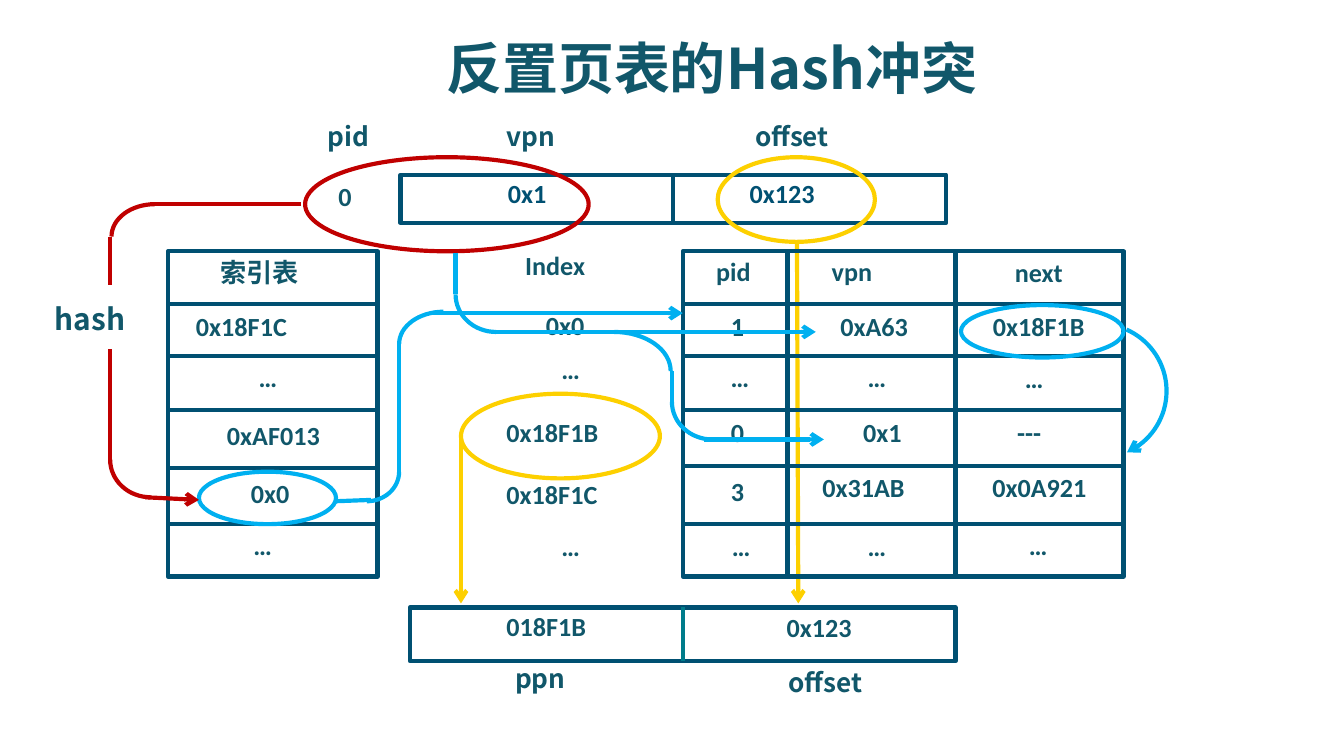
import math
from lxml import etree
from pptx import Presentation
from pptx.dml.color import RGBColor
from pptx.enum import shapes as kinds, text as txt
from pptx.oxml.ns import qn
from pptx.util import Inches, Pt

THEME = {
    "ink": "11576A", "frame": "005072", "teal": "007C8B",
    "red": "C00000", "yellow": "FDD000", "blue": "00B0F0",
    "latin": "Calibri", "cjk": "Noto Sans CJK SC",
    "title": 30, "hash": 16, "body": 14, "stroke": 2.25,
}

# Labels: text, left, top, width, centred
TITLE = ("反置页表的Hash冲突", 2.68, 0.24, 5.23, True)
HASH = ("hash", 0.31, 2.19, 0.86, False)
FIELD_NAMES = [
    ("pid", 2.34, 0.85, 1.02, False), ("vpn", 3.67, 0.85, 1.17, False),
    ("offset", 5.52, 0.85, 1.17, False), ("ppn", 3.59, 4.88, 0.86, True),
    ("offset", 5.63, 4.91, 1.02, True), ("索引表", 1.54, 1.86, 1.56, False),
]
VIRTUAL_VALUES = [("0x1", 3.68, 1.27, 1.25, False), ("0x123", 5.48, 1.27, 1.02, False)]
VALUES = [
    ("0", 2.42, 1.29, 0.34, False),
    ("018F1B", 3.05, 4.49, 2.03, True), ("0x123", 5.08, 4.5, 2.03, True),
    # index table
    ("0x18F1C", 1.36, 2.26, 1.25, False), ("…", 1.41, 2.64, 1.17, True),
    ("0xAF013", 1.33, 3.07, 1.41, True), ("0x0", 1.62, 3.5, 0.78, True),
    ("…", 1.33, 3.89, 1.25, True),
    # index column
    ("Index", 3.81, 1.81, 0.94, False), ("0x0", 3.58, 2.25, 1.25, True),
    ("…", 3.97, 2.58, 0.55, True), ("0x18F1B", 3.67, 3.05, 1.48, False),
    ("0x18F1C", 3.67, 3.51, 1.48, False), ("…", 3.97, 3.9, 0.55, True),
    # pid column
    ("pid", 5.23, 1.85, 1.09, False), ("1", 5.34, 2.26, 0.78, False),
    ("…", 5.23, 2.64, 0.55, True), ("0", 5.34, 3.05, 0.47, False),
    ("3", 5.34, 3.49, 0.23, False), ("…", 5.24, 3.9, 0.55, True),
    # vpn column
    ("vpn", 6.09, 1.85, 0.78, False), ("0xA63", 5.94, 2.26, 1.13, True),
    ("…", 6.25, 2.64, 0.55, True), ("0x1", 6.02, 3.05, 1.09, True),
    ("0x31AB", 6.02, 3.46, 1.2, False), ("…", 6.25, 3.9, 0.55, True),
    # next column
    ("next", 7.22, 1.86, 1.02, True), ("0x18F1B", 6.95, 2.26, 1.56, True),
    ("…", 7.42, 2.65, 0.55, True), ("---", 7.47, 3.05, 0.55, False),
    ("0x0A921", 7.11, 3.46, 1.25, True), ("…", 7.45, 3.89, 0.55, True),
]

# Address bars: left, top, width, height, divider colour
ADDRESS_BARS = [(2.98, 1.3, 4.06, 0.36, "frame"), (3.05, 4.52, 4.06, 0.4, "teal")]

# Table columns: left, width, row boundaries
TABLE_TOP, TABLE_HEIGHT = 1.87, 2.42
PAGE_ROWS = [2.26, 2.65, 3.05, 3.47, 3.9]
COLUMNS = [
    (1.25, 1.56, [2.26, 2.65, 3.05, 3.48, 3.9]),
    (7.11, 1.25, PAGE_ROWS), (5.86, 1.25, PAGE_ROWS), (5.08, 0.78, PAGE_ROWS),
]

# Highlights: left, top, width, height, colour
ELLIPSES = [
    (2.27, 1.17, 2.11, 0.7, "red"), (3.43, 2.93, 1.48, 0.63, "yellow"),
    (1.48, 3.51, 1.02, 0.39, "blue"), (7.15, 2.27, 1.21, 0.39, "blue"),
    (5.34, 1.17, 1.17, 0.63, "yellow"),
]

# Straight parts of the routes: start, end, colour, arrow at the end
DROPS = [
    ((3.43, 3.24), (3.43, 4.49), "yellow", True),
    ((5.93, 1.8), (5.94, 4.49), "yellow", True),
]
ROUTES = [
    # key to hash to index table
    ((2.24, 1.52), (1.12, 1.52), "red", False),
    ((0.82, 1.76), (0.82, 2.12), "red", False),
    ((0.82, 2.6), (0.82, 3.43), "red", False),
    ((1.08, 3.7), (1.48, 3.72), "red", True),
    # index table to first page entry
    ((2.49, 3.73), (2.76, 3.72), "blue", False),
    ((2.97, 3.51), (2.97, 2.56), "blue", False),
    ((3.2, 2.33), (5.08, 2.33), "blue", True),
    # vpn compared with both entries
    ((3.39, 1.88), (3.39, 2.19), "blue", False),
    ((3.66, 2.47), (4.61, 2.47), "blue", False),
    ((4.6, 2.47), (6.07, 2.47), "blue", True),
    ((5, 2.76), (5, 2.99), "blue", False),
    ((5.24, 3.27), (6.13, 3.27), "blue", True),
]
# Rounded corners: end on the horizontal part, end on the vertical part, colour
CORNERS = [
    ((1.12, 3.7), (0.82, 3.42), "red"), ((1.15, 1.52), (0.83, 1.76), "red"),
    ((3.3, 2.32), (2.97, 2.56), "blue"), ((2.73, 3.73), (2.97, 3.51), "blue"),
    ((3.69, 2.47), (3.39, 2.19), "blue"), ((5.3, 3.27), (5, 2.99), "blue"),
    ((4.57, 2.47), (4.99, 2.76), "blue"),
]

# Widescreen page, 16 to 9
deck = Presentation()
deck.slide_width = Inches(10)
deck.slide_height = deck.slide_width * 9 // 16
page = deck.slides.add_slide(deck.slide_layouts[6])


def color(name):
    return RGBColor.from_string(THEME[name])


def stroke(item, name, arrow=False):
    item.line.color.rgb = color(name)
    item.line.width = Pt(THEME["stroke"])
    if arrow:
        line = item._element.spPr.find(qn("a:ln"))
        etree.SubElement(line, qn("a:tailEnd"), type="arrow")


def outline(kind, left, top, width, height, name, arrow=False):
    shape = page.shapes.add_shape(kind, *map(Inches, (left, top, width, height)))
    shape.shadow.inherit = False
    shape.fill.background()
    stroke(shape, name, arrow)
    return shape


def straight(start, end, name, arrow=False):
    line = page.shapes.add_connector(kinds.MSO_CONNECTOR.STRAIGHT, *map(Inches, start + end))
    stroke(line, name, arrow)
    etree.SubElement(line._element.spPr, qn("a:effectLst"))
    return line


def corner(flat, steep, name, steps=16):
    points = []
    for step in range(steps + 1):
        angle = math.pi / 2 * step / steps
        points.append((Inches(flat[0] + (steep[0] - flat[0]) * math.sin(angle)),
                       Inches(steep[1] + (flat[1] - steep[1]) * math.cos(angle))))
    builder = page.shapes.build_freeform(*points[0])
    builder.add_line_segments(points[1:], close=False)
    curve = builder.convert_to_shape()
    curve.shadow.inherit = False
    curve.fill.background()
    stroke(curve, name)


def label(entry, font, size="body", name="ink"):
    words, left, top, width, centred = entry
    height = THEME[size] / 60 + 0.1
    box = page.shapes.add_textbox(*map(Inches, (left, top, width, height)))
    frame = box.text_frame
    frame.word_wrap = True
    frame.auto_size = txt.MSO_AUTO_SIZE.SHAPE_TO_FIT_TEXT
    frame.text = words
    para = frame.paragraphs[0]
    para.alignment = txt.PP_ALIGN.CENTER if centred else txt.PP_ALIGN.LEFT
    span = para.runs[0]
    span.font.size, span.font.bold = Pt(THEME[size]), True
    span.font.color.rgb = color(name)
    span.font.name = THEME[font]
    etree.SubElement(span.font._element, qn("a:ea"), typeface=THEME[font])
    return para


# Address bars, split in the middle
for left, top, width, height, divider in ADDRESS_BARS:
    bar = outline(kinds.MSO_SHAPE.RECTANGLE, left, top, width, height, "frame")
    middle = left + width / 2
    split = straight((middle, top), (middle, top + height), divider)
    split.begin_connect(bar, 0)
    split.end_connect(bar, 2)

# Yellow drops run behind the tables
for drop in DROPS:
    straight(*drop)

# Text
label(TITLE, "cjk", "title").line_spacing = 0.95
label(HASH, "cjk", "hash")
for entry in FIELD_NAMES:
    label(entry, "cjk")
for entry in VIRTUAL_VALUES:
    label(entry, "latin", name="frame")
for entry in VALUES:
    label(entry, "latin")

# Index table and page table
for left, width, rows in COLUMNS:
    outline(kinds.MSO_SHAPE.RECTANGLE, left, TABLE_TOP, width, TABLE_HEIGHT, "frame")
    for row in rows:
        straight((left, row), (left + width, row), "frame")

# Highlights and routes
for ellipse in ELLIPSES:
    outline(kinds.MSO_SHAPE.OVAL, *ellipse)
for route in ROUTES:
    straight(*route)
for bend in CORNERS:
    corner(*bend)

# Link from the next column to the following entry
link = outline(kinds.MSO_SHAPE.ARC, 7.68, 2.41, 1, 1, "blue", arrow=True)
link.adjustments[0], link.adjustments[1] = 162, 25.12
link.rotation = 23.8

deck.save("out.pptx")
